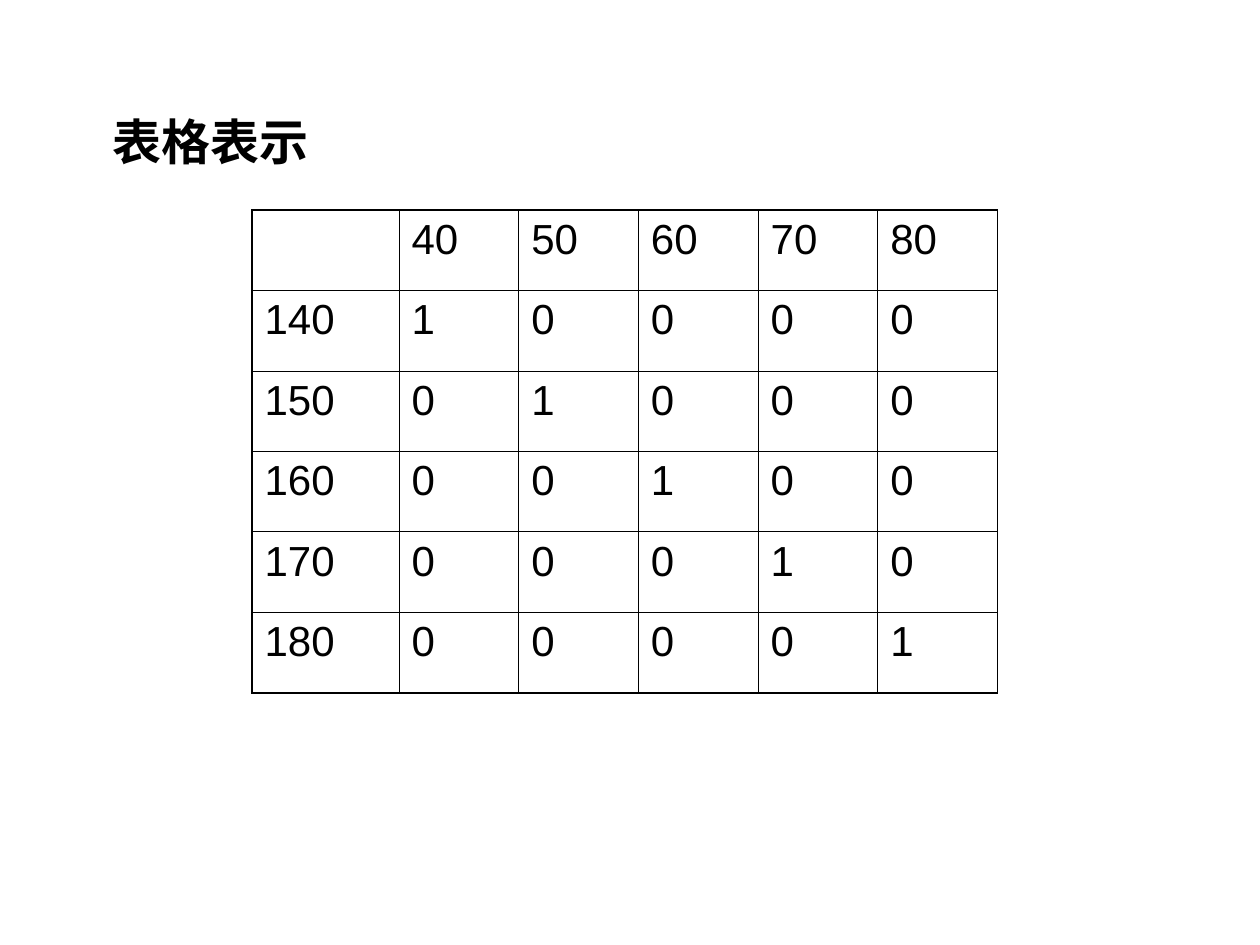
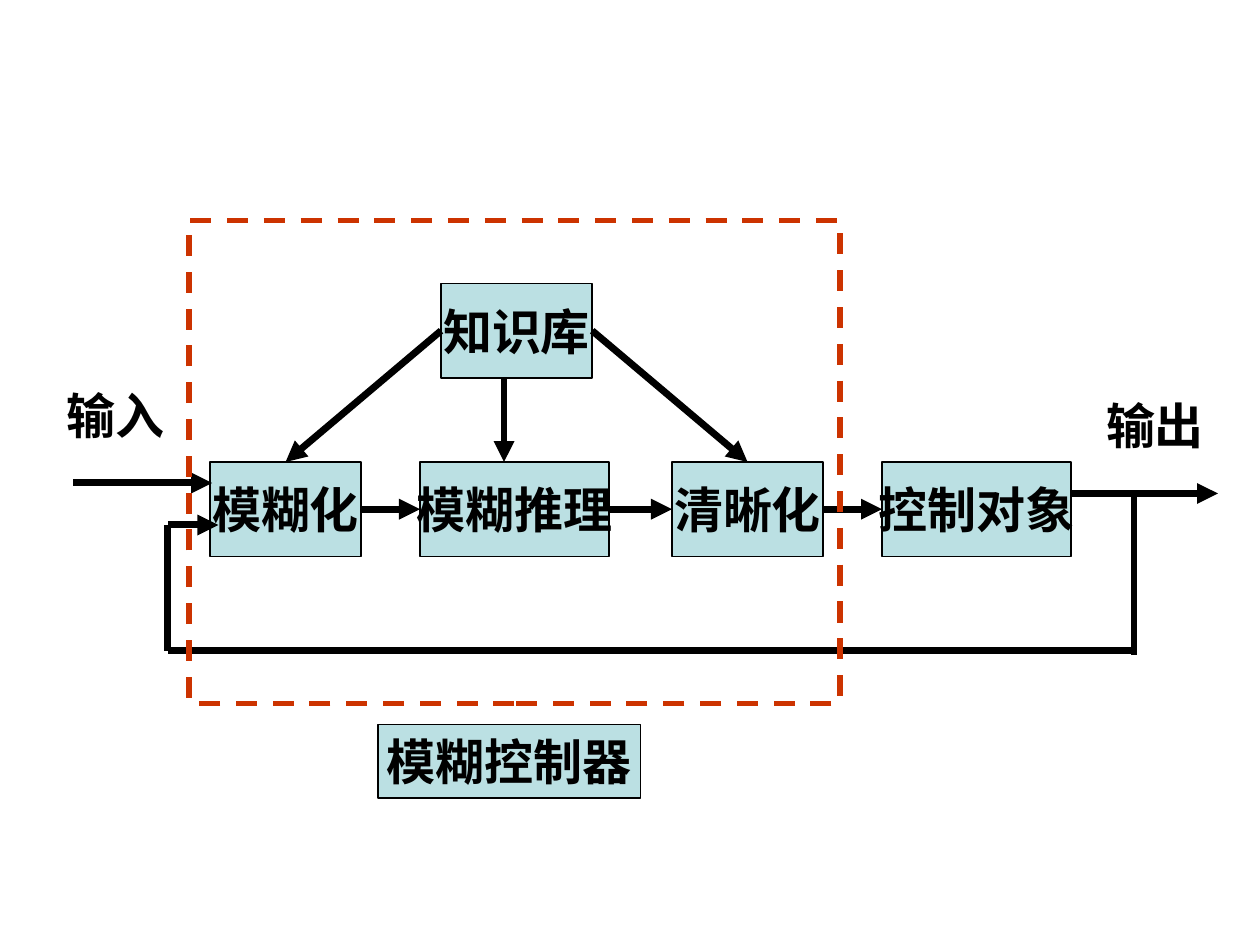
from dataclasses import dataclass

from lxml.etree import SubElement
from pptx import Presentation
from pptx.dml.color import RGBColor
from pptx.enum.dml import MSO_LINE
from pptx.enum.shapes import MSO_CONNECTOR, MSO_SHAPE
from pptx.enum.text import MSO_ANCHOR, MSO_AUTO_SIZE, PP_ALIGN
from pptx.oxml.ns import qn
from pptx.util import Inches, Pt


@dataclass(frozen=True)
class Theme:
    ink: str = "000000"
    pale: str = "BBE0E3"
    red: str = "CC3300"
    latin: str = "Arial"
    asian: str = "Noto Sans CJK SC"
    head: int = 28
    cell: int = 24
    thin: float = 0.45
    edge: float = 0.75
    thick: float = 1.08
    dash: float = 3
    flow: float = 4


THEME = Theme()
WIDTH, HEIGHT = Inches(10), Inches(7.5)
UNIT = WIDTH / 120
TOP, LEFT, BOTTOM, RIGHT = range(4)


def grid(*cells):
    return [round(cell * UNIT) for cell in cells]


def tint(hue):
    return RGBColor.from_string(hue)


def write(frame, text, *, size=THEME.head, bold=True, font=THEME.latin,
          align=PP_ALIGN.CENTER, anchor=MSO_ANCHOR.MIDDLE, wrap=False):
    frame.word_wrap = wrap
    frame.vertical_anchor = anchor
    para = frame.paragraphs[0]
    para.alignment = align
    run = para.add_run()
    run.text = text
    run.font.name = font
    run.font.size = Pt(size)
    run.font.bold = bold
    run.font.color.rgb = tint(THEME.ink)
    SubElement(run.font._element, qn("a:ea"), typeface=THEME.asian)


def set_title(slide, text, *place):
    title = slide.shapes.title
    title.left, title.top, title.width, title.height = grid(*place)
    frame = title.text_frame
    frame.auto_size = MSO_AUTO_SIZE.NONE
    frame.margin_left = Inches(0.48)
    write(frame, text, font=THEME.asian, align=PP_ALIGN.LEFT,
          anchor=MSO_ANCHOR.TOP, wrap=True)


def border(cell, outer):
    props = cell._tc.get_or_add_tcPr()
    for side in "LRTB":
        width = THEME.thick if side in outer else THEME.thin
        line = SubElement(props, qn(f"a:ln{side}"), w=str(Pt(width)))
        fill = SubElement(line, qn("a:solidFill"))
        SubElement(fill, qn("a:srgbClr"), val=THEME.ink)


def add_grid(slide, data, left, top, wides, tall):
    rows, cols = len(data), len(wides)
    frame = slide.shapes.add_table(
        rows, cols, *grid(left, top, sum(wides), tall * rows))
    table = frame.table
    table.first_row = table.horz_banding = False
    for col, wide in zip(table.columns, grid(*wides)):
        col.width = wide
    for r, line in enumerate(data):
        for c, value in enumerate(line):
            cell = table.cell(r, c)
            ends = {"L": c == 0, "R": c == cols - 1,
                    "T": r == 0, "B": r == rows - 1}
            border(cell, [side for side, end in ends.items() if end])
            cell.fill.background()
            if value != "":
                write(cell.text_frame, str(value), size=THEME.cell,
                      bold=False, align=PP_ALIGN.LEFT, wrap=True)
                cell.vertical_anchor = MSO_ANCHOR.TOP


def add_box(slide, text, left, top, wide, tall=9):
    box = slide.shapes.add_shape(
        MSO_SHAPE.RECTANGLE, *grid(left, top, wide, tall))
    box.shadow.inherit = False
    box.fill.solid()
    box.fill.fore_color.rgb = tint(THEME.pale)
    box.line.color.rgb = tint(THEME.ink)
    box.line.width = Pt(THEME.edge)
    write(box.text_frame, text)
    return box


def add_frame(slide, *place):
    frame = slide.shapes.add_shape(MSO_SHAPE.RECTANGLE, *grid(*place))
    frame.shadow.inherit = False
    frame.fill.background()
    frame.line.color.rgb = tint(THEME.red)
    frame.line.width = Pt(THEME.dash)
    frame.line.dash_style = MSO_LINE.DASH


def add_label(slide, text, left, top):
    box = slide.shapes.add_textbox(*grid(left, top, 12, 7))
    write(box.text_frame, text)


def add_line(slide, start=(0, 0), end=(0, 0), arrow=True):
    line = slide.shapes.add_connector(
        MSO_CONNECTOR.STRAIGHT, *grid(*start, *end))
    line.line.color.rgb = tint(THEME.ink)
    line.line.width = Pt(THEME.flow)
    if arrow:
        SubElement(line.line._get_or_add_ln(), qn("a:tailEnd"),
                   type="triangle")
    SubElement(line._element.spPr, qn("a:effectLst"))
    return line


def join(slide, first, side, last, face):
    line = add_line(slide)
    line.begin_connect(first, side)
    line.end_connect(last, face)


def draw_table(deck):
    slide = deck.slides.add_slide(deck.slide_layouts[5])
    set_title(slide, "表格表示", 5, 10, 109, 8)
    weights = range(40, 90, 10)
    heights = range(140, 190, 10)
    data = [["", *weights]]
    for r, height in enumerate(heights):
        data.append([height, *(int(r == c) for c in range(len(weights)))])
    add_grid(slide, data, 24, 20, [14] + [11.4] * len(weights), 46 / 6)


def draw_flow(deck):
    slide = deck.slides.add_slide(deck.slide_layouts[6])
    steps = [add_box(slide, text, left, 44, wide) for text, left, wide in (
        ("模糊化", 20, 14.4), ("模糊推理", 40, 18),
        ("清晰化", 64, 14.4), ("控制对象", 84, 18))]
    base = add_box(slide, "知识库", 42, 27, 14.4)
    join(slide, base, RIGHT, steps[2], TOP)
    join(slide, base, LEFT, steps[0], TOP)
    add_line(slide, (48, 36), (48, 44))
    for first, last in zip(steps, steps[1:]):
        join(slide, first, RIGHT, last, LEFT)
    add_line(slide, (7, 46), (20.2, 46))
    add_line(slide, (102, 47), (116, 47))
    add_line(slide, (108, 47), (108, 62.4), arrow=False)
    add_line(slide, (108, 62), (16, 62), arrow=False)
    add_line(slide, (16, 62), (16, 50), arrow=False)
    add_line(slide, (16, 50), (20.8, 50))
    add_label(slide, "输入", 5, 36)
    add_label(slide, "输出", 104, 37)
    add_frame(slide, 18, 21, 62, 46)
    add_box(slide, "模糊控制器", 36, 69, 25, 7)


def main():
    deck = Presentation()
    deck.slide_width, deck.slide_height = WIDTH, HEIGHT
    draw_table(deck)
    draw_flow(deck)
    deck.save("out.pptx")


if __name__ == "__main__":
    main()
